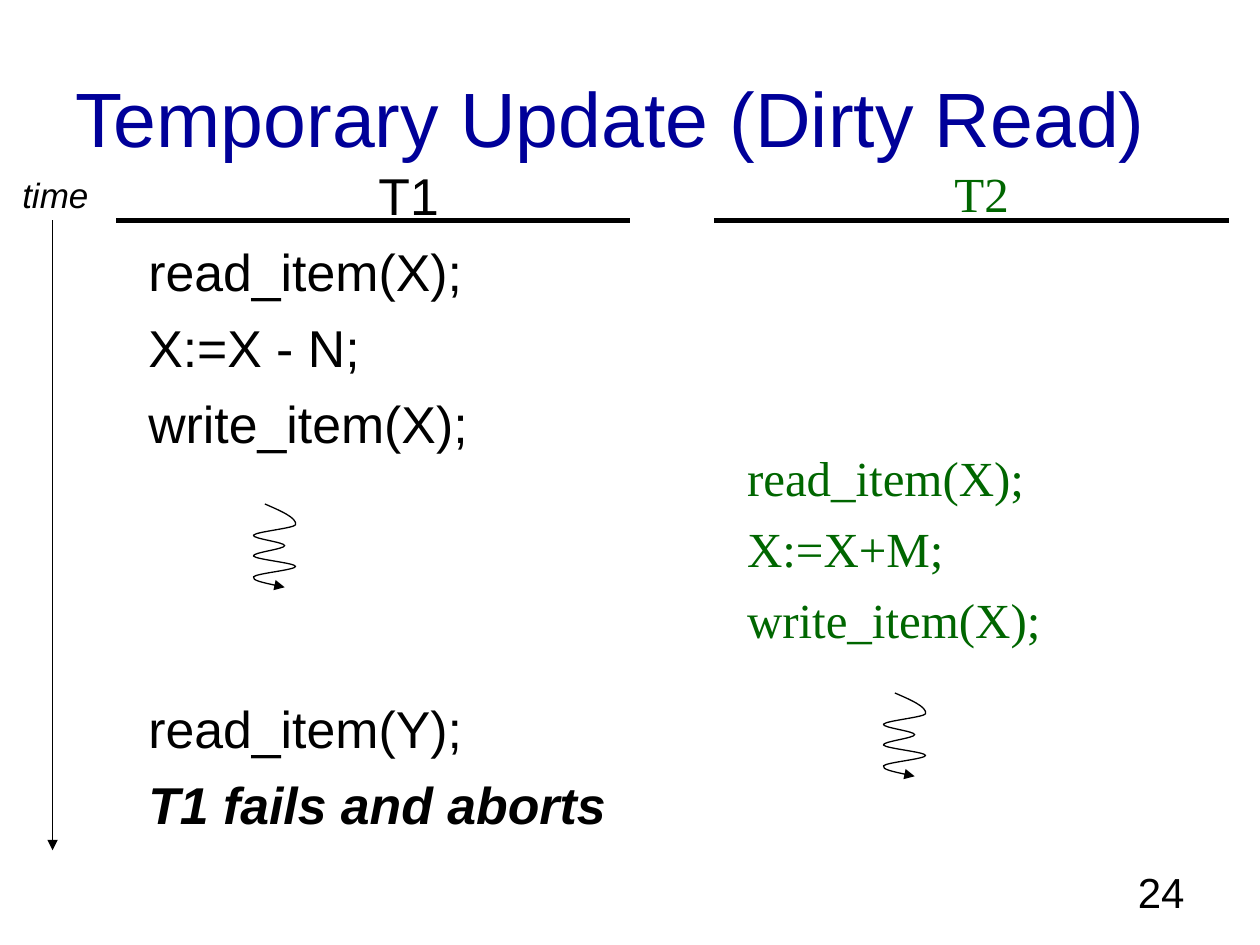
from pptx import Presentation
from pptx.dml.color import RGBColor
from pptx.enum.shapes import MSO_CONNECTOR
from pptx.enum.text import MSO_ANCHOR, MSO_AUTO_SIZE, PP_ALIGN
from pptx.oxml.ns import qn
from pptx.util import Cm, Pt
from lxml.etree import SubElement

BLACK, BLUE, GREEN = "000000", "000099", "006600"
SANS, SERIF = "Arial", "Times New Roman"

# Points of the squiggle in cm: a start, then two handles and an end per curve
WAVE_X = [0.26, 0.58, 0.91, 0.88, 0.84, 0.08, 0.03, 0, 0.66, 0.66, 0.66,
          0, 0.03, 0.08, 0.88, 0.88, 0.88, 0.08, 0.03, 0, 0.33, 0.66]
WAVE_Y = [i * 0.14 for i in range(4)] + [0.42 + i * 0.07 for i in range(1, 19)]


def color(code):
    return RGBColor.from_string(code)


def add_run(para, text, size, font=SANS, code=BLACK, bold=False, slant=False):
    run = para.add_run()
    run.text = text
    run.font.name, run.font.size = font, Pt(size)
    run.font.bold, run.font.italic = bold, slant
    run.font.color.rgb = color(code)


def add_box(slide, left, top, width, height):
    frame = slide.shapes.add_textbox(
        Cm(left), Cm(top), Cm(width), Cm(height)).text_frame
    frame.word_wrap = True
    return frame


def style_line(shape, width, arrow=False):
    shape.line.color.rgb = color(BLACK)
    shape.line.width = Pt(width)
    if arrow:
        SubElement(shape.line._get_or_add_ln(), qn("a:tailEnd"), type="triangle")


def add_line(slide, x1, y1, x2, y2, width, arrow=False):
    line = slide.shapes.add_connector(
        MSO_CONNECTOR.STRAIGHT, Cm(x1), Cm(y1), Cm(x2), Cm(y2))
    style_line(line, width, arrow)
    SubElement(line._element.spPr, qn("a:effectLst"))


def add_wave(slide, left, top):
    spots = [(Cm(left + x), Cm(top + y)) for x, y in zip(WAVE_X, WAVE_Y)]
    form = slide.shapes.build_freeform(*spots[0])
    form.add_line_segments(spots[1:], close=False)
    wave = form.convert_to_shape()
    wave.shadow.inherit = False
    wave.fill.background()
    style_line(wave, 0.75, arrow=True)
    # Turn each three straight steps into one Bezier curve
    track = next(wave._element.iter(qn("a:path")))
    steps = track.findall(qn("a:lnTo"))
    for i in range(0, len(steps), 3):
        curve = SubElement(track, qn("a:cubicBezTo"))
        for step in steps[i:i + 3]:
            curve.append(step[0])
            track.remove(step)


def add_title(slide, left, top, width, height):
    frame = add_box(slide, left, top, width, height)
    frame.vertical_anchor = MSO_ANCHOR.MIDDLE
    add_run(frame.paragraphs[0], "Temporary Update (Dirty Read)", 44, code=BLUE)


def add_axis(slide, left, top, height):
    frame = add_box(slide, left, top, 1.9, 1.12)
    frame.word_wrap = False
    frame.auto_size = MSO_AUTO_SIZE.SHAPE_TO_FIT_TEXT
    add_run(frame.paragraphs[0], "time", 20, slant=True)
    x = left + 0.86
    add_line(slide, x, top + 1.06, x, top + height, 1, arrow=True)


def add_column(slide, left, top, width, rule, head, steps, size, font, code, gap):
    """Steps are (text, free rows above, strong); rule is (left, right)."""
    frame = add_box(slide, left, top, width, 14.4)
    para = frame.paragraphs[0]
    para.alignment = PP_ALIGN.CENTER
    add_run(para, head, size, font, code)
    pitch = size * 1.2 + gap
    for text, free, strong in steps:
        para = frame.add_paragraph()
        para.space_before = Pt(round(gap + free * pitch, 1))
        add_run(para, text, size, font, code, strong, strong)
    y = top + 1.27
    add_line(slide, left + rule[0], y, left + rule[1], y, 3)


def add_number(slide, left, top, width, height):
    para = add_box(slide, left, top, width, height).paragraphs[0]
    para.alignment = PP_ALIGN.RIGHT
    add_run(para, "24", 24)


def main():
    deck = Presentation()
    deck.slide_width, deck.slide_height = Cm(25.4), Cm(19.05)
    slide = deck.slides.add_slide(deck.slide_layouts[6])

    add_title(slide, 1.27, 0.76, 22.86, 3.18)

    # First transaction
    add_column(slide, 2.74, 3.17, 11, (-0.4, 9.96), "T1", [
        ("read_item(X);", 0, False),
        ("X:=X - N;", 0, False),
        ("write_item(X);", 0, False),
        ("read_item(Y);", 3, False),
        ("T1 fails and aborts", 0, True),
    ], 29.6, SANS, BLACK, 8)
    add_wave(slide, 5.08, 10.16)

    # Second transaction
    add_column(slide, 14.81, 3.17, 9.96, (-0.41, 9.96), "T2", [
        ("read_item(X);", 3, False),
        ("X:=X+M;", 0, False),
        ("write_item(X);", 0, False),
    ], 28, SERIF, GREEN, 7)
    add_wave(slide, 17.78, 13.97)

    # Time axis and page number
    add_axis(slide, 0.2, 3.38, 13.76)
    add_number(slide, 18.21, 17.35, 5.92, 1.32)

    deck.save("out.pptx")


if __name__ == "__main__":
    main()
